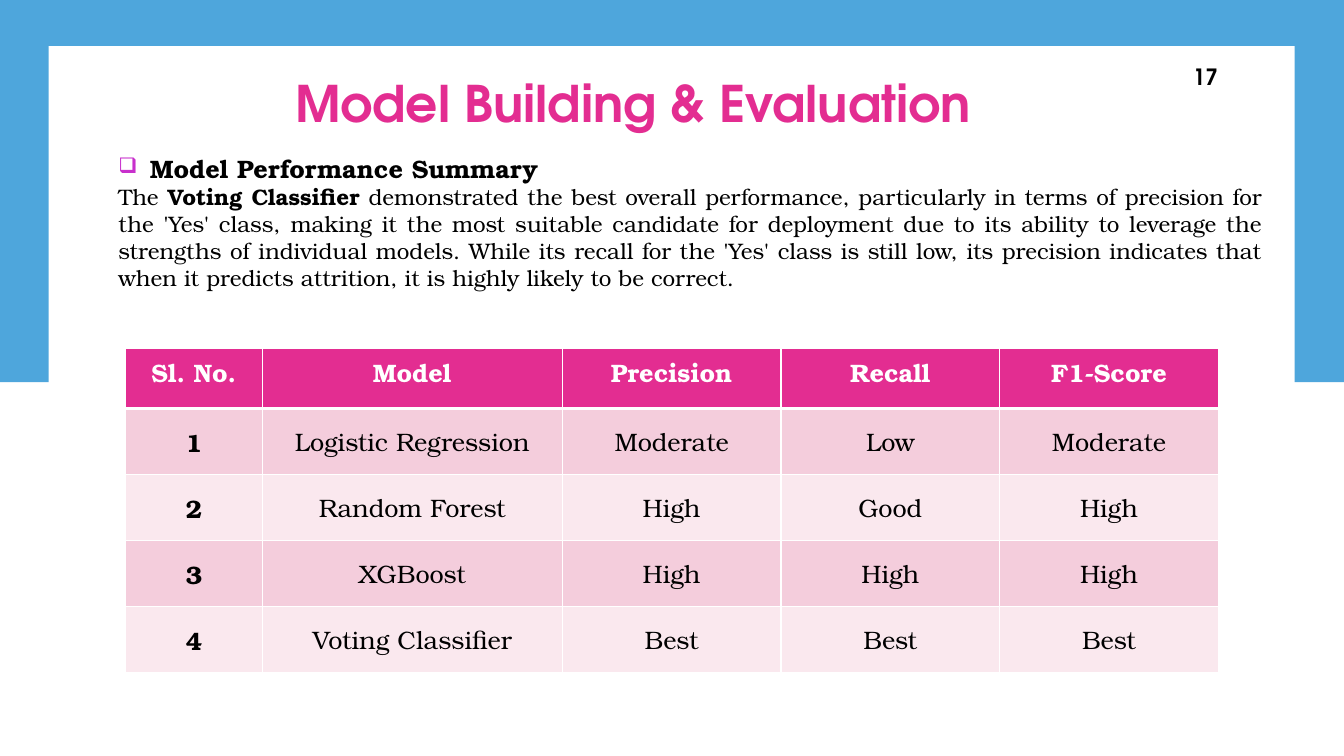
"""Build the model performance summary slide."""
from lxml import etree
from pptx import Presentation
from pptx.dml.color import RGBColor
from pptx.enum.shapes import MSO_SHAPE
from pptx.enum.text import MSO_ANCHOR, PP_ALIGN
from pptx.oxml import parse_xml
from pptx.util import Pt

RECT = MSO_SHAPE.RECTANGLE
TOP, MIDDLE = MSO_ANCHOR.TOP, MSO_ANCHOR.MIDDLE
CENTER, JUSTIFY = PP_ALIGN.CENTER, PP_ALIGN.JUSTIFY
NS = "http://schemas.openxmlformats.org/drawingml/2006/main"
HEAD, BODY = "TeX Gyre Adventor", "TeX Gyre Bonum"
PINK, WHITE, BLACK = "E32D91", "FFFFFF", "000000"
BANDS = ["FAE8EE", "F4CDDC"]


def paint(target, color):
    if hasattr(target, "solid"):
        target.solid()
        target.fore_color.rgb = RGBColor.from_string(color)
    else:
        target.rgb = RGBColor.from_string(color)


def style(para, font, size, color, bold, align=CENTER):
    para.alignment = align
    for run in para.runs:
        run.font.name = font
        run.font.size = Pt(size)
        run.font.bold = bold
        paint(run.font.color, color)


deck = Presentation()
deck.slide_width, deck.slide_height = Pt(960), Pt(540)
slide = deck.slides.add_slide(deck.slide_layouts[6])
shapes = slide.shapes

panels = [
    (-2, 0, 962, 272.9, "4EA6DC"),
    (34.8, 33, 890, 474.5, WHITE),
]
for left, top, width, height, color in panels:
    panel = shapes.add_shape(RECT, Pt(left), Pt(top), Pt(width), Pt(height))
    panel.shadow.inherit = False
    paint(panel.fill, color)
    panel.line.fill.background()

labels = [
    ("Model Building & Evaluation", 143.3, 43.9, 617.8, 58.3, 36, PINK),
    ("17", 822.2, 36, 77.8, 37.4, 16, BLACK),
]
for text, left, top, width, height, size, color in labels:
    box = shapes.add_textbox(Pt(left), Pt(top), Pt(width), Pt(height))
    frame = box.text_frame
    frame.word_wrap = True
    frame.vertical_anchor = MIDDLE
    frame.margin_top = frame.margin_bottom = 0
    frame.text = text
    style(frame.paragraphs[0], HEAD, size, color, True)

rows = [
    ("Sl. No.", "Model", "Precision", "Recall", "F1-Score"),
    ("1", "Logistic Regression", "Moderate", "Low", "Moderate"),
    ("2", "Random Forest", "High", "Good", "High"),
    ("3", "XGBoost", "High", "High", "High"),
    ("4", "Voting Classifier", "Best", "Best", "Best"),
]
widths = [97.7, 214.4, 156.2, 156.2, 156.2]
heights = [42.8] + [47.2] * 4
grid = shapes.add_table(len(rows), len(widths), Pt(89.6), Pt(249.1),
                        Pt(sum(widths)), Pt(sum(heights))).table
for col, width in zip(grid.columns, widths):
    col.width = Pt(width)
for row, height in zip(grid.rows, heights):
    row.height = Pt(height)

for i, row in enumerate(rows):
    for j, text in enumerate(row):
        cell = grid.cell(i, j)
        cell.text = text
        cell.vertical_anchor = MIDDLE if i else TOP
        style(cell.text_frame.paragraphs[0], BODY, 18,
              BLACK if i else WHITE, i == 0 or j == 0)
        props = cell._tc.get_or_add_tcPr()
        for side in "LRTB":
            thick = 3 if (i, side) in [(0, "B"), (1, "T")] else 1
            props.append(parse_xml(
                f'<a:ln{side} xmlns:a="{NS}" w="{Pt(thick)}"><a:solidFill>'
                f'<a:srgbClr val="{WHITE}"/></a:solidFill></a:ln{side}>'))
        paint(cell.fill, BANDS[i % 2] if i else PINK)

box = shapes.add_textbox(Pt(77.5), Pt(109.4), Pt(831.6), Pt(147.6))
frame = box.text_frame
frame.word_wrap = True
frame.margin_top = frame.margin_bottom = 0
frame.text = "Model Performance Summary"
lead = frame.paragraphs[0]
style(lead, BODY, 18, BLACK, True, JUSTIFY)
props = lead._p.get_or_add_pPr()
props.set("marL", str(Pt(22.5)))
props.set("indent", str(Pt(-22.5)))
tint = etree.SubElement(props, f"{{{NS}}}buClr")
etree.SubElement(tint, f"{{{NS}}}srgbClr", val="C830CC")
etree.SubElement(props, f"{{{NS}}}buSzPct", val="85000")
etree.SubElement(props, f"{{{NS}}}buChar", char="❑")

para = frame.add_paragraph()
parts = [
    "The ",
    "Voting Classifier",
    " demonstrated the best overall performance, particularly in terms of "
    "precision for the 'Yes' class, making it the most suitable candidate "
    "for deployment due to its ability to leverage the strengths of "
    "individual models. While its recall for the 'Yes' class is still low, "
    "its precision indicates that when it predicts attrition, it is highly "
    "likely to be correct.",
]
for part in parts:
    para.add_run().text = part
style(para, BODY, 16, BLACK, False, JUSTIFY)
para.runs[1].font.bold = True

deck.save("out.pptx")
